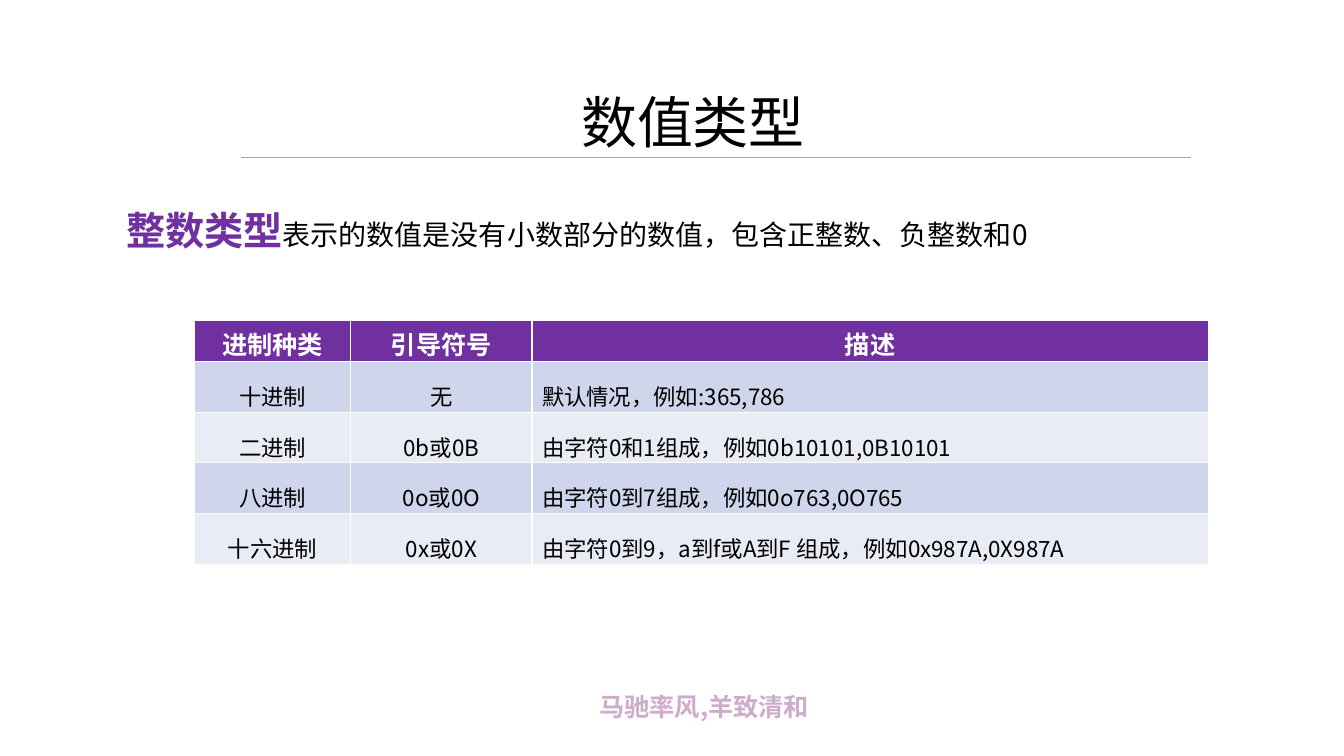
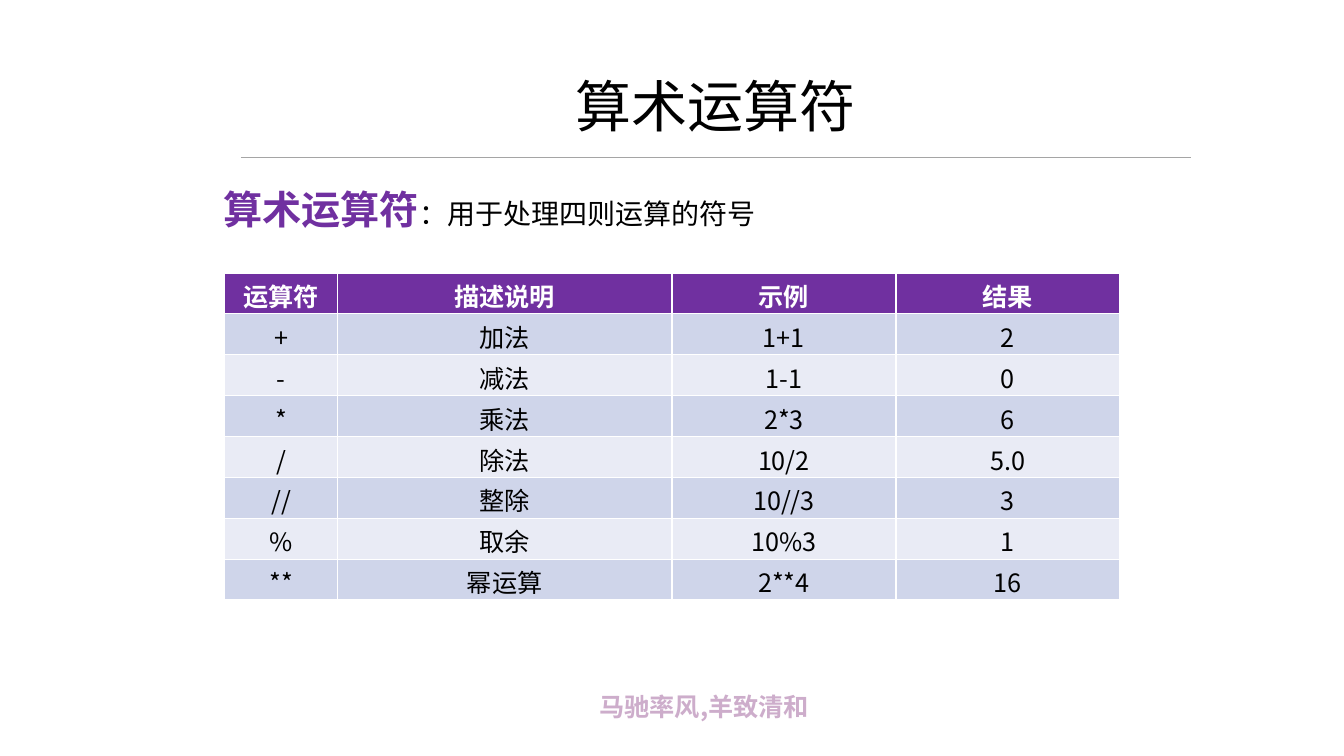
from dataclasses import dataclass

from lxml.etree import SubElement
from pptx import Presentation
from pptx.dml.color import RGBColor as RGB
from pptx.enum.shapes import MSO_CONNECTOR as CONN
from pptx.enum.text import MSO_ANCHOR as ANCHOR, MSO_AUTO_SIZE as AUTO, PP_ALIGN as AL
from pptx.oxml.ns import qn
from pptx.util import Pt


@dataclass(frozen=True)
class Theme:
    font: str = "Noto Sans CJK SC"
    ink: RGB = RGB.from_string("000000")
    white: RGB = RGB.from_string("FFFFFF")
    accent: RGB = RGB.from_string("7030A0")
    motto: RGB = RGB.from_string("CDADCB")
    rule: RGB = RGB.from_string("A5A5A5")
    bands: tuple = (RGB.from_string("CFD5EA"), RGB.from_string("E9EBF5"))
    title_size: int = 40
    term_size: int = 28
    lead_size: int = 20
    table_size: int = 18
    small_size: int = 16


class Deck:
    """Builds the lesson slides with one theme and a current slide."""

    def __init__(self, theme):
        self.t = theme
        self.prs = Presentation()
        self.prs.slide_width, self.prs.slide_height = Pt(960), Pt(540)

    def style(self, p, size, color, bold=False):
        f = p.font
        f.name, f.size, f.bold = self.t.font, Pt(size), bold
        f.color.rgb = color
        SubElement(p._p.pPr.defRPr, qn("a:ea"), typeface=self.t.font)

    def slide(self, title, center, middle):
        self.s = self.prs.slides.add_slide(self.prs.slide_layouts[5])
        sp = self.s.shapes.title
        w, h = 240, 64
        sp.left, sp.top = Pt(center - w / 2), Pt(middle - h / 2)
        sp.width, sp.height = Pt(w), Pt(h)
        tf = sp.text_frame
        tf.text, tf.word_wrap, tf.auto_size = title, False, AUTO.NONE
        tf.vertical_anchor = ANCHOR.MIDDLE
        p = tf.paragraphs[0]
        p.alignment = AL.CENTER
        self.style(p, self.t.title_size, self.t.ink)
        self.rule()
        self.motto()

    def rule(self):
        line = self.s.shapes.add_connector(CONN.STRAIGHT, Pt(172), Pt(112.5), Pt(850.5), Pt(112.5))
        line.line.color.rgb, line.line.width = self.t.rule, Pt(0.5)
        SubElement(line._element.spPr, qn("a:effectLst"))

    def text(self, x, y, w, h):
        tf = self.s.shapes.add_textbox(Pt(x), Pt(y), Pt(w), Pt(h)).text_frame
        tf.word_wrap, tf.vertical_anchor = True, ANCHOR.MIDDLE
        return tf.paragraphs[0]

    def motto(self):
        p = self.text(421, 490, 205, 29)
        p.text = "马驰率风,羊致清和"
        self.style(p, self.t.table_size, self.t.motto, True)

    def lead(self, x, middle, w, term, meaning):
        p = self.text(x, middle - 24, w, 48)
        self.style(p, self.t.lead_size, self.t.ink)
        r = p.add_run()
        r.text = term
        r.font.size, r.font.bold = Pt(self.t.term_size), True
        r.font.color.rgb = self.t.accent
        p.add_run().text = meaning

    def table(self, x, y, widths, rows, size, row_h, top, spacing=1.0, left_cols=()):
        t, head_h = self.t, 29.2
        height = head_h + row_h * (len(rows) - 1)
        table = self.s.shapes.add_table(
            len(rows), len(widths), Pt(x), Pt(y), Pt(sum(widths)), Pt(height)).table
        for col, w in zip(table.columns, widths):
            col.width = Pt(w)
        for i, values in enumerate(rows):
            head = i == 0
            table.rows[i].height = Pt(head_h if head else row_h)
            for j, value in enumerate(values):
                c = table.cell(i, j)
                c.fill.solid()
                c.fill.fore_color.rgb = t.accent if head else t.bands[(i - 1) % 2]
                c.margin_top, c.margin_bottom = Pt(3.1 if head else top), 0
                p = c.text_frame.paragraphs[0]
                p.text = value
                p.alignment = AL.LEFT if j in left_cols and not head else AL.CENTER
                p.line_spacing = 1.0 if head else spacing
                self.style(p, t.table_size if head else size, t.white if head else t.ink, head)


def main():
    t = Theme()
    d = Deck(t)

    d.slide("数值类型", 495, 86.5)
    d.lead(83, 164, 752, "整数类型", "表示的数值是没有小数部分的数值，包含正整数、负整数和0")
    d.table(139, 229, (111.5, 129.5, 483), (
        ("进制种类", "引导符号", "描述"),
        ("十进制", "无", "默认情况，例如:365,786"),
        ("二进制", "0b或0B", "由字符0和1组成，例如0b10101,0B10101"),
        ("八进制", "0o或0O", "由字符0到7组成，例如0o763,0O765"),
        ("十六进制", "0x或0X", "由字符0到9，a到f或A到F 组成，例如0x987A,0X987A"),
    ), t.small_size, 36.2, 1.4, 1.5, left_cols=(2,))

    d.slide("算术运算符", 511, 75)
    d.lead(152.5, 149, 480, "算术运算符", "：用于处理四则运算的符号")
    d.table(160.5, 195, (80.5, 239, 160, 160), (
        ("运算符", "描述说明", "示例", "结果"),
        ("+", "加法", "1+1", "2"),
        ("-", "减法", "1-1", "0"),
        ("*", "乘法", "2*3", "6"),
        ("/", "除法", "10/2", "5.0"),
        ("//", "整除", "10//3", "3"),
        ("%", "取余", "10%3", "1"),
        ("**", "幂运算", "2**4", "16"),
    ), t.table_size, 29.2, 3.1)

    d.prs.save("out.pptx")


if __name__ == "__main__":
    main()
